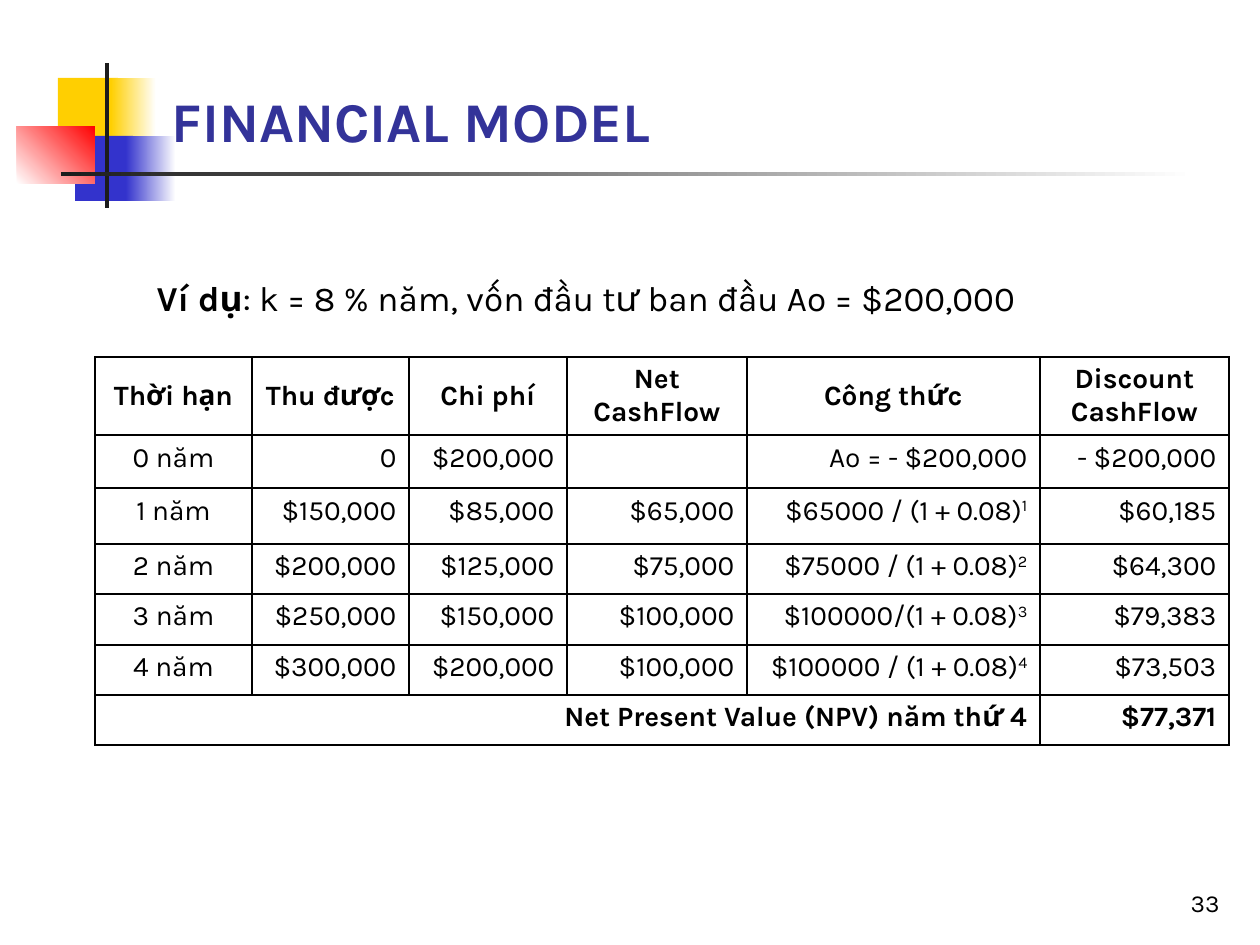
from dataclasses import dataclass

from lxml import etree
from pptx import Presentation
from pptx.dml.color import RGBColor
from pptx.enum.shapes import MSO_SHAPE
from pptx.enum.text import MSO_ANCHOR, MSO_AUTO_SIZE, PP_ALIGN
from pptx.oxml.ns import qn
from pptx.util import Pt

PX = 914400 / 126
RECTANGLE = MSO_SHAPE.RECTANGLE
LEFT, CENTER, RIGHT = PP_ALIGN.LEFT, PP_ALIGN.CENTER, PP_ALIGN.RIGHT
TOP, MIDDLE, BOTTOM = MSO_ANCHOR.TOP, MSO_ANCHOR.MIDDLE, MSO_ANCHOR.BOTTOM
NO_AUTOFIT = MSO_AUTO_SIZE.NONE


@dataclass(frozen=True)
class Theme:
    font: str = "Karla"
    ink: str = "000000"
    title: str = "333399"
    yellow: str = "FFCF01"
    blue: str = "3333CC"
    red: str = "FF0000"
    dark: str = "1C1C1C"
    paper: str = "FFFFFF"
    title_size: int = 32
    example_size: int = 20
    table_size: int = 16
    number_size: int = 14


THEME = Theme()

# Box in px, colours from start to end, gradient angle
ORNAMENTS = [
    ((58, 78, 60, 65), [THEME.yellow], 0),
    ((111, 78, 45, 65), [THEME.yellow, THEME.paper], 0),
    ((75, 136, 58, 65), [THEME.blue], 0),
    ((126, 136, 50, 65), [THEME.blue, THEME.paper], 0),
    ((17, 126, 78, 58), [THEME.paper, THEME.red], 45),
    ((105, 63, 4, 145), [THEME.dark], 0),
    ((61, 172, 1134, 4), [THEME.dark, THEME.paper], 0),
]

TABLE_LEFT, TABLE_TOP = 95, 357
COLUMN_WIDTHS = [157, 157, 158, 180, 293, 189]
ROW_HEIGHTS = [78, 53, 56, 50, 51, 50, 50]
# A caret starts a superscript
CASH_FLOWS = [
    ["Thời hạn", "Thu được", "Chi phí", "Net\nCashFlow", "Công thức", "Discount\nCashFlow"],
    ["0 năm", "0", "$200,000", "", "Ao = - $200,000", "- $200,000"],
    ["1 năm", "$150,000", "$85,000", "$65,000", "$65000 / (1 + 0.08)^1", "$60,185"],
    ["2 năm", "$200,000", "$125,000", "$75,000", "$75000 / (1 + 0.08)^2", "$64,300"],
    ["3 năm", "$250,000", "$150,000", "$100,000", "$100000/(1 + 0.08)^3", "$79,383"],
    ["4 năm", "$300,000", "$200,000", "$100,000", "$100000 / (1 + 0.08)^4", "$73,503"],
    ["Net Present Value (NPV) năm thứ 4", "", "", "", "", "$77,371"],
]


def px(length):
    return round(length * PX)


def emu(box):
    return [px(length) for length in box]


def add_run(paragraph, text, size, bold=False, color=THEME.ink):
    run = paragraph.add_run()
    run.text = text
    formats = {"name": THEME.font, "size": Pt(size), "bold": bold}
    for name, value in formats.items():
        setattr(run.font, name, value)
    run.font.color.rgb = RGBColor.from_string(color)
    return run


def add_ornament(slide, box, colors, angle):
    shape = slide.shapes.add_shape(RECTANGLE, *emu(box))
    shape.shadow.inherit = False
    shape.line.fill.background()
    if len(colors) == 1:
        shape.fill.solid()
        shape.fill.fore_color.rgb = RGBColor.from_string(colors[0])
        return
    shape.fill.gradient()
    shape.fill.gradient_angle = angle
    for stop, color in zip(shape.fill.gradient_stops, colors):
        stop.color.rgb = RGBColor.from_string(color)


def format_frame(frame, anchor, align):
    formats = {"word_wrap": True, "auto_size": NO_AUTOFIT, "vertical_anchor": anchor}
    for name, value in formats.items():
        setattr(frame, name, value)
    paragraph = frame.paragraphs[0]
    paragraph.alignment = align
    return paragraph


def place_title(slide, text, box):
    """Fill the title placeholder and bring it in front of the ornaments."""
    title = slide.shapes.title
    title.left, title.top, title.width, title.height = emu(box)
    paragraph = format_frame(title.text_frame, BOTTOM, LEFT)
    add_run(paragraph, text, THEME.title_size, True, THEME.title)
    slide.shapes._spTree.append(title._element)


def add_text(slide, box, runs, size, anchor, align):
    frame = slide.shapes.add_textbox(*emu(box)).text_frame
    paragraph = format_frame(frame, anchor, align)
    for text, bold in runs:
        add_run(paragraph, text, size, bold)


def add_borders(cell):
    properties = cell._tc.get_or_add_tcPr()
    for side in ("a:lnL", "a:lnR", "a:lnT", "a:lnB"):
        line = etree.SubElement(properties, qn(side), w=str(Pt(1)))
        fill = etree.SubElement(line, qn("a:solidFill"))
        etree.SubElement(fill, qn("a:srgbClr"), val=THEME.ink)


def fill_cell(cell, text, align, anchor, bold):
    add_borders(cell)
    cell.fill.background()
    cell.vertical_anchor = anchor
    frame = cell.text_frame
    for index, line in enumerate(text.split("\n")):
        paragraph = frame.add_paragraph() if index else frame.paragraphs[0]
        paragraph.alignment = align
        paragraph.font.size = Pt(THEME.table_size)
        base, _, exponent = line.partition("^")
        if base:
            add_run(paragraph, base, THEME.table_size, bold)
        if exponent:
            power = add_run(paragraph, exponent, THEME.table_size, bold)
            power._r.get_or_add_rPr().set("baseline", "30000")


def add_cash_flow_table(slide):
    box = (TABLE_LEFT, TABLE_TOP, sum(COLUMN_WIDTHS), sum(ROW_HEIGHTS))
    table = slide.shapes.add_table(len(ROW_HEIGHTS), len(COLUMN_WIDTHS), *emu(box)).table
    table.first_row = table.horz_banding = False
    for column, width in zip(table.columns, COLUMN_WIDTHS):
        column.width = px(width)
    for row, height in zip(table.rows, ROW_HEIGHTS):
        row.height = px(height)

    total = len(CASH_FLOWS) - 1
    for r, values in enumerate(CASH_FLOWS):
        for c, text in enumerate(values):
            header = r == 0
            centered = header or (c == 0 and r != total)
            fill_cell(table.cell(r, c), text, CENTER if centered else RIGHT,
                      MIDDLE if header else TOP, r in (0, total))
    table.cell(total, 0).merge(table.cell(total, len(COLUMN_WIDTHS) - 2))


def main():
    presentation = Presentation()
    presentation.slide_width, presentation.slide_height = px(1260), px(945)
    slide = presentation.slides.add_slide(presentation.slide_layouts[5])
    for box, colors, angle in ORNAMENTS:
        add_ornament(slide, box, colors, angle)
    add_text(slide, (970, 861, 262, 63), [("33", False)], THEME.number_size, BOTTOM, RIGHT)
    place_title(slide, "FINANCIAL MODEL", (159, 21, 1073, 139))
    add_cash_flow_table(slide)
    example = [("Ví dụ", True), (": k = 8 % năm, vốn đầu tư ban đầu Ao = $200,000", False)]
    add_text(slide, (101, 270, 970, 54), example, THEME.example_size, TOP, CENTER)
    presentation.save("out.pptx")


if __name__ == "__main__":
    main()
